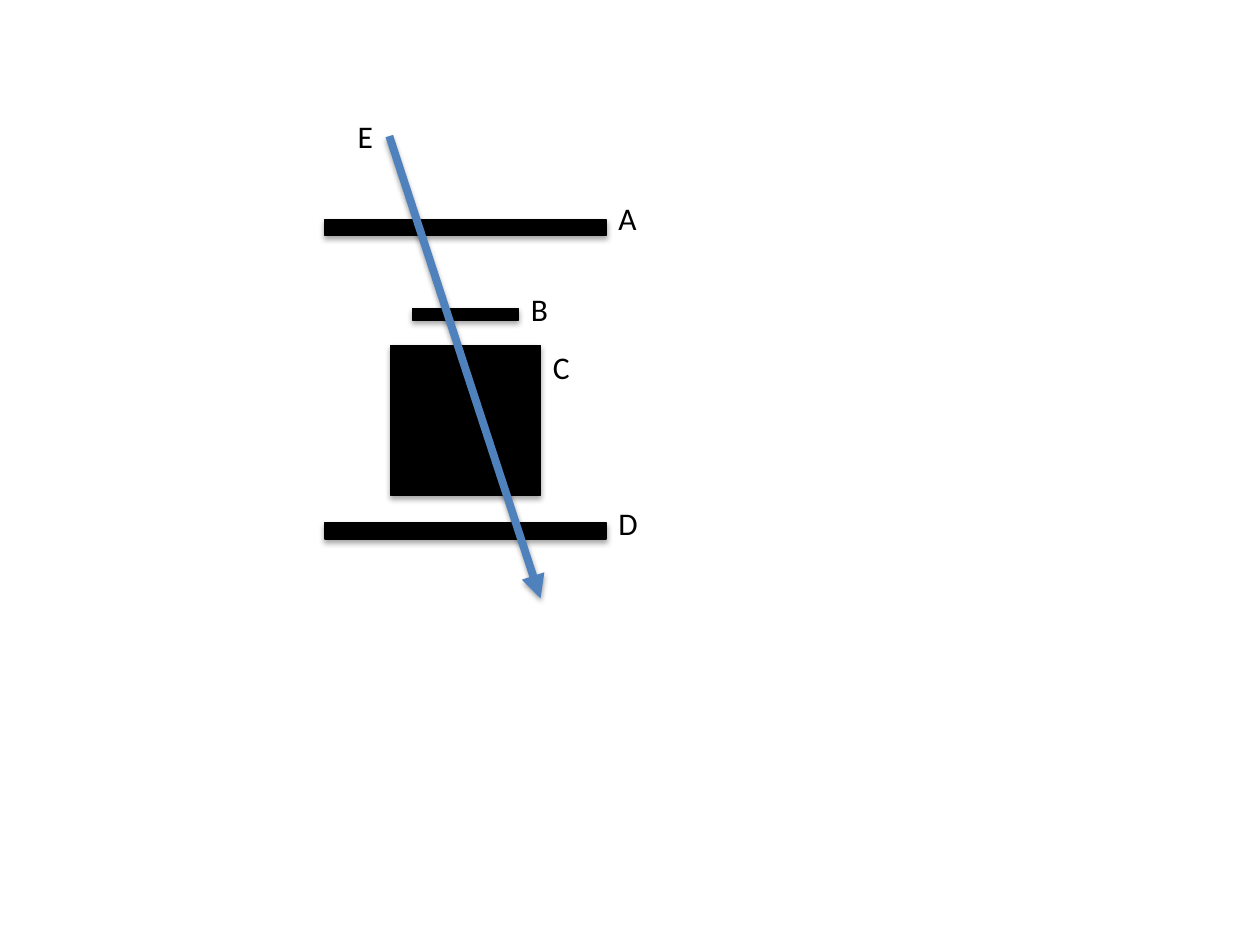
from dataclasses import dataclass

from lxml import etree
from pptx import Presentation
from pptx.dml.color import RGBColor
from pptx.enum.shapes import MSO_CONNECTOR, MSO_SHAPE
from pptx.enum.text import MSO_AUTO_SIZE
from pptx.oxml.ns import qn
from pptx.util import Inches, Pt

RECT = MSO_SHAPE.RECTANGLE
STRAIGHT = MSO_CONNECTOR.STRAIGHT
GROW = MSO_AUTO_SIZE.SHAPE_TO_FIT_TEXT
BLACK = RGBColor(0x00, 0x00, 0x00)
BLUE = RGBColor(0x4F, 0x81, 0xBD)
FONT = {"name": "Calibri", "size": Pt(18)}
FRAME = {"word_wrap": False, "auto_size": GROW}
MIDDLE = 36.95
LABEL_HIGH = 5.33


@dataclass
class Layer:
    name: str
    top: float
    wide: float
    high: float
    label_top: float
    label_wide: float


LAYERS = [
    Layer("A", 23.2, 22.3, 1.73, 20.4, 3.5),
    Layer("B", 32.67, 8.4, 1.2, 30, 3.4),
    Layer("C", 36.53, 11.9, 15.87, 36.13, 3.4),
    Layer("D", 55.33, 22.3, 1.73, 52.67, 3.6),
]

deck = Presentation()
deck.slide_width, deck.slide_height = Inches(10), Inches(7.5)
slide = deck.slides.add_slide(deck.slide_layouts[6])


def across(share: float) -> int:
    return int(deck.slide_width * share / 100)


def down(share: float) -> int:
    return int(deck.slide_height * share / 100)


def shade(shape, gap: float, alpha: int) -> None:
    effects = etree.SubElement(shape._element.spPr, qn("a:effectLst"))
    shadow = etree.SubElement(
        effects, qn("a:outerShdw"), blurRad=str(Pt(3.15)), dist=str(Pt(gap)),
        dir="5400000", rotWithShape="0")
    color = etree.SubElement(shadow, qn("a:srgbClr"), val=str(BLACK))
    etree.SubElement(color, qn("a:alpha"), val=str(alpha * 1000))


def draw_label(text: str, left: float, top: float, wide: float) -> None:
    box = slide.shapes.add_textbox(across(left), down(top), across(wide), down(LABEL_HIGH))
    frame = box.text_frame
    for key, value in FRAME.items():
        setattr(frame, key, value)
    run = frame.paragraphs[0].add_run()
    run.text = text
    for key, value in FONT.items():
        setattr(run.font, key, value)
    run.font.color.rgb = BLACK


def draw_layer(layer: Layer) -> None:
    left = MIDDLE - layer.wide / 2
    bar = slide.shapes.add_shape(
        RECT, across(left), down(layer.top), across(layer.wide), down(layer.high))
    bar.fill.solid()
    bar.fill.fore_color.rgb = BLACK
    bar.line.color.rgb = BLACK
    bar.line.width = Pt(0.75)
    shade(bar, 1.8, 35)
    draw_label(layer.name, left + layer.wide, layer.label_top, layer.label_wide)


def draw_arrow(start: tuple[float, float], end: tuple[float, float]) -> None:
    arrow = slide.shapes.add_connector(
        STRAIGHT, across(start[0]), down(start[1]), across(end[0]), down(end[1]))
    arrow.line.color.rgb = BLUE
    arrow.line.width = Pt(4.5)
    etree.SubElement(arrow.line._get_or_add_ln(), qn("a:tailEnd"), type="triangle")
    shade(arrow, 1.6, 38)


for layer in LAYERS:
    draw_layer(layer)
draw_label("E", 27.4, 11.73, 3.3)
draw_arrow((30.9, 14.4), (42.9, 63.33))

deck.save("out.pptx")
